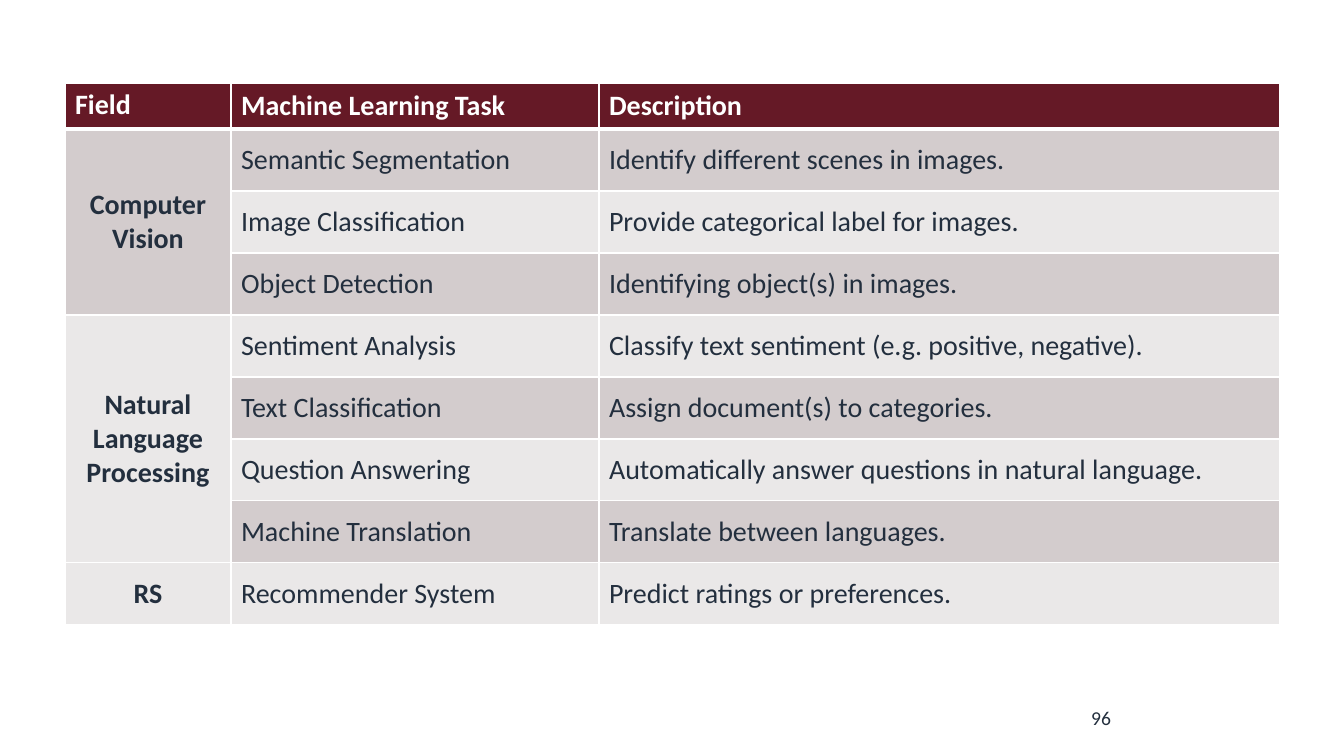
import lxml.etree
import pptx
import pptx.dml.color
import pptx.enum.text
import pptx.oxml.ns
import pptx.util

HEADER = ("Field", "Machine Learning Task", "Description")
FIELDS = [
    ("Computer Vision", [
        ("Semantic Segmentation", "Identify different scenes in images."),
        ("Image Classification", "Provide categorical label for images."),
        ("Object Detection", "Identifying object(s) in images."),
    ]),
    ("Natural Language Processing", [
        ("Sentiment Analysis", "Classify text sentiment (e.g. positive, negative)."),
        ("Text Classification", "Assign document(s) to categories."),
        ("Question Answering", "Automatically answer questions in natural language."),
        ("Machine Translation", "Translate between languages."),
    ]),
    ("RS", [("Recommender System", "Predict ratings or preferences.")]),
]
PAGE_NUMBER = "96"

PAGE_SIZE = (1344, 756)
TABLE_LEFT, TABLE_TOP = 65, 83
COLUMN_WIDTHS = (166, 368, 681)
HEADER_HEIGHT, ROW_HEIGHT = 46, 62
NUMBER_BOX = (818, 701, 303, 40)

MAROON, DARK, LIGHT = "651926", "D3CCCD", "EAE8E8"
WHITE, INK = "FFFFFF", "232F3E"
ALIGN = pptx.enum.text.PP_ALIGN
MIDDLE = pptx.enum.text.MSO_ANCHOR.MIDDLE
TOP = pptx.enum.text.MSO_ANCHOR.TOP


def px(length):
    return pptx.util.Emu(round(length * 914400 / 100.8))


def rgb(value):
    return pptx.dml.color.RGBColor.from_string(value)


def write(frame, text, size, color, bold=False, align=ALIGN.LEFT):
    frame.word_wrap = True
    para = frame.paragraphs[0]
    para.text = text
    para.alignment = align
    font = para.font
    font.name, font.size, font.bold = "Calibri", pptx.util.Pt(size), bold
    font.color.rgb = rgb(color)


def set_borders(cell, top=1, bottom=1):
    """Draw white borders, widths in points; they must precede the fill."""
    properties = cell._tc.get_or_add_tcPr()
    widths = {"a:lnL": 1, "a:lnR": 1, "a:lnT": top, "a:lnB": bottom}
    for position, (tag, width) in enumerate(widths.items()):
        line = lxml.etree.Element(pptx.oxml.ns.qn(tag), w=str(pptx.util.Pt(width)))
        fill = lxml.etree.SubElement(line, pptx.oxml.ns.qn("a:solidFill"))
        lxml.etree.SubElement(fill, pptx.oxml.ns.qn("a:srgbClr"), val=WHITE)
        properties.insert(position, line)


def style_cell(cell, row, fill):
    cell.fill.solid()
    cell.fill.fore_color.rgb = rgb(fill)
    cell.vertical_anchor = MIDDLE
    set_borders(cell, top=3 if row == 1 else 1, bottom=3 if row == 0 else 1)


def add_task_table(page):
    task_count = sum(len(tasks) for _, tasks in FIELDS)
    heights = [HEADER_HEIGHT] + [ROW_HEIGHT] * task_count
    table = page.shapes.add_table(
        len(heights), len(COLUMN_WIDTHS), px(TABLE_LEFT), px(TABLE_TOP),
        px(sum(COLUMN_WIDTHS)), px(sum(heights))).table
    for column, width in zip(table.columns, COLUMN_WIDTHS):
        column.width = px(width)
    for row, height in zip(table.rows, heights):
        row.height = px(height)

    for column, title in enumerate(HEADER):
        cell = table.cell(0, column)
        style_cell(cell, 0, MAROON)
        write(cell.text_frame, title, 20, WHITE, bold=True)
    table.cell(0, 0).vertical_anchor = TOP

    row = 1
    for field, tasks in FIELDS:
        first = row
        for task in tasks:
            for column in range(len(HEADER)):
                style_cell(table.cell(row, column), row, DARK if row % 2 else LIGHT)
            for column, text in enumerate(task, 1):
                write(table.cell(row, column).text_frame, text, 20, INK)
            row += 1
        field_cell = table.cell(first, 0)
        if len(tasks) > 1:
            field_cell.merge(table.cell(row - 1, 0))
        write(field_cell.text_frame, field, 20, INK, bold=True, align=ALIGN.CENTER)


def main():
    deck = pptx.Presentation()
    deck.slide_width, deck.slide_height = map(px, PAGE_SIZE)
    page = deck.slides.add_slide(deck.slide_layouts[6])
    add_task_table(page)
    number_box = page.shapes.add_textbox(*map(px, NUMBER_BOX))
    write(number_box.text_frame, PAGE_NUMBER, 14, INK, align=ALIGN.RIGHT)
    deck.save("out.pptx")


if __name__ == "__main__":
    main()
